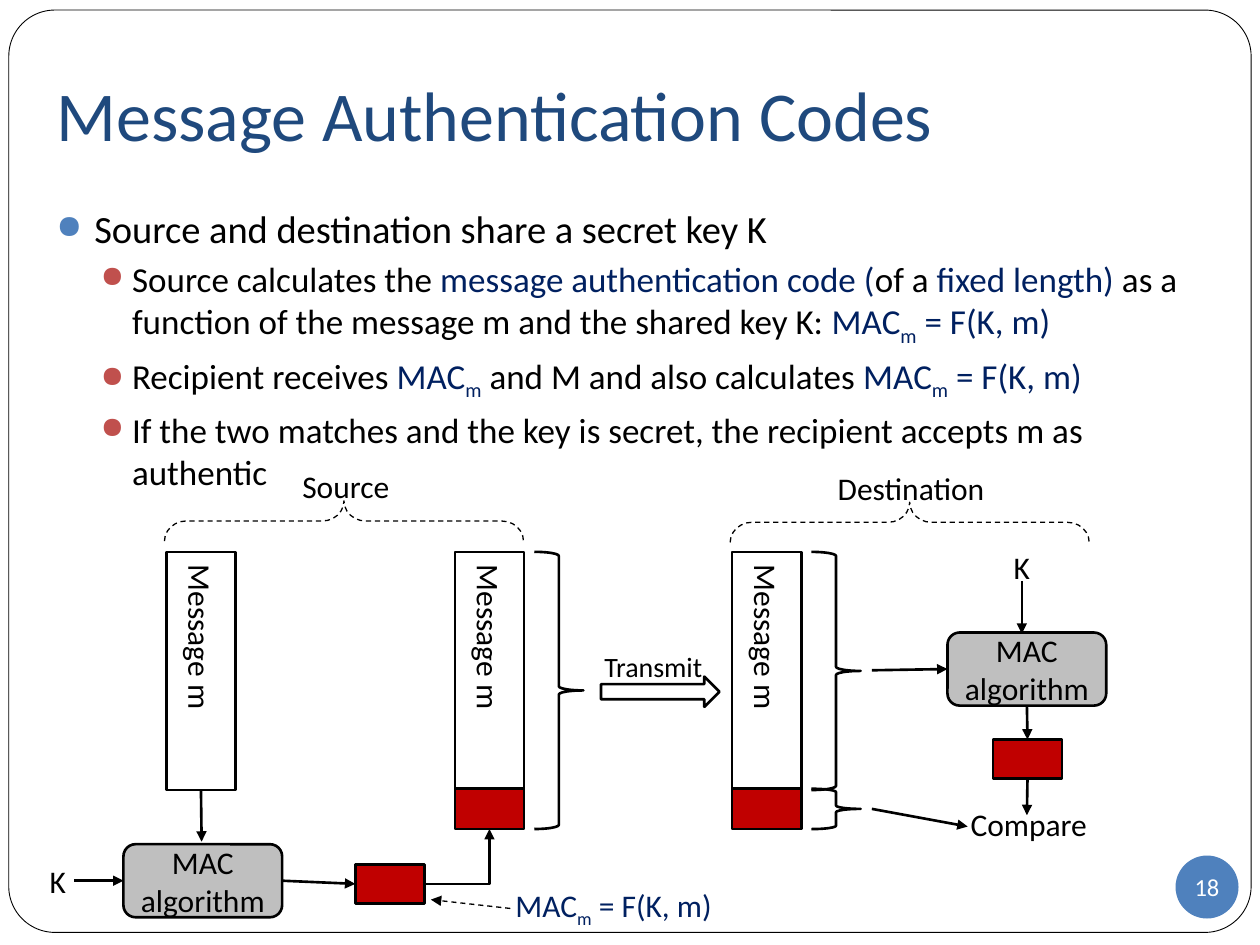
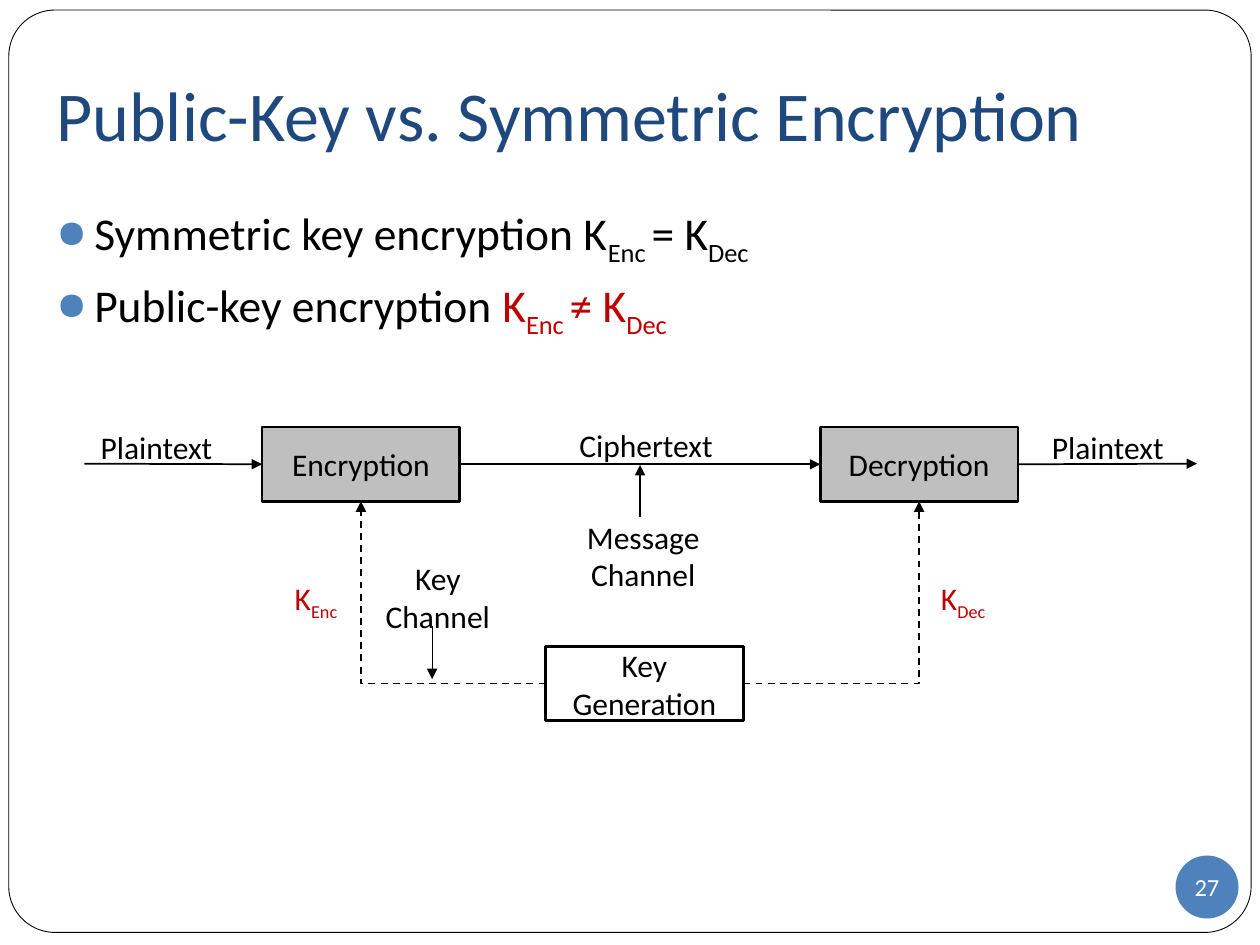
from dataclasses import dataclass
from typing import NamedTuple, Optional

from lxml.etree import SubElement
from pptx import Presentation
from pptx.dml.color import RGBColor
from pptx.enum.dml import MSO_LINE
from pptx.enum.shapes import MSO_CONNECTOR as Connector
from pptx.enum.shapes import MSO_SHAPE as Preset
from pptx.enum.text import MSO_ANCHOR as Anchor
from pptx.enum.text import PP_ALIGN as Align
from pptx.oxml.ns import qn
from pptx.util import Inches, Pt


@dataclass(frozen=True)
class Theme:
    font: str = "Calibri"
    ink: str = "000000"
    paper: str = "FFFFFF"
    title: str = "1F497D"
    term: str = "002060"
    accent: str = "4F81BD"
    second: str = "C0504D"
    red: str = "C00000"
    gray: str = "BFBFBF"
    title_size: int = 40
    label_size: int = 18
    small_size: int = 16
    number_size: int = 14
    hairline: float = 0.5
    thin: float = 0.75
    medium: float = 1
    thick: float = 1.5


THEME = Theme()
TOP, LEFT, BOTTOM, RIGHT = range(4)


class Box(NamedTuple):
    left: float
    top: float
    width: float
    height: float


class Span(NamedTuple):
    text: str
    color: str = THEME.ink
    sub: bool = False


class Bullet(NamedTuple):
    spans: list
    size: int
    level: int = 0


class BulletStyle(NamedTuple):
    margin: float
    hanging: float
    before: float
    color: str


BULLET_STYLES = (BulletStyle(0.3, 0.3, 5.8, THEME.accent),
                 BulletStyle(0.6, 0.25, 3.7, THEME.second))


class Label(NamedTuple):
    box: Box
    lines: list
    size: int = THEME.label_size
    align: Align = Align.CENTER
    wrap: bool = True
    side: float = 0.1


class Arrow(NamedTuple):
    start: tuple
    end: tuple
    width: float = THEME.thick
    dashed: bool = False
    bent: bool = False
    begin: Optional[tuple] = None   # (shape, side) joined at the start
    finish: Optional[tuple] = None  # (shape, side) joined at the end


def lengths(*values: float) -> tuple:
    return tuple(Inches(value) for value in values)


def apply(target, values: dict) -> None:
    for name, value in values.items():
        setattr(target, name, value)


def set_frame(frame, anchor=Anchor.TOP, wrap=True, margins=(0.1, 0.05, 0.1, 0.05)) -> None:
    left, top, right, bottom = lengths(*margins)
    apply(frame, {"vertical_anchor": anchor, "word_wrap": wrap, "margin_left": left,
                  "margin_top": top, "margin_right": right, "margin_bottom": bottom})


def write(paragraph, spans: list, size: float, align=Align.LEFT) -> None:
    paragraph.alignment = align
    for span in spans:
        run = paragraph.add_run()
        run.text = span.text
        apply(run.font, {"name": THEME.font, "size": Pt(size)})
        run.font.color.rgb = RGBColor.from_string(span.color)
        if span.sub:
            run._r.get_or_add_rPr().set("baseline", "-25000")


def set_line(line, width: float, dashed: bool = False) -> None:
    line.color.rgb = RGBColor.from_string(THEME.ink)
    line.width = Pt(width)
    if dashed:
        line.dash_style = MSO_LINE.DASH


def add_shape(slide, preset: Preset, box: Box, fill: Optional[str] = None,
              width: float = THEME.thick, dashed: bool = False):
    shape = slide.shapes.add_shape(preset, *lengths(*box))
    shape.shadow.inherit = False
    if fill:
        shape.fill.solid()
        shape.fill.fore_color.rgb = RGBColor.from_string(fill)
    else:
        shape.fill.background()
    if width:
        set_line(shape.line, width, dashed)
    else:
        shape.line.fill.background()
    return shape


def add_node(slide, preset: Preset, box: Box, text: str, fill: Optional[str] = None):
    shape = add_shape(slide, preset, box, fill)
    set_frame(shape.text_frame, Anchor.MIDDLE)
    write(shape.text_frame.paragraphs[0], [Span(text)], THEME.label_size, Align.CENTER)
    return shape


def add_label(slide, label: Label) -> None:
    frame = slide.shapes.add_textbox(*lengths(*label.box)).text_frame
    set_frame(frame, wrap=label.wrap, margins=(label.side, 0.05, label.side, 0.05))
    for index, spans in enumerate(label.lines):
        paragraph = frame.add_paragraph() if index else frame.paragraphs[0]
        write(paragraph, spans, label.size, label.align)


def add_arrow(slide, arrow: Arrow) -> None:
    kind = Connector.ELBOW if arrow.bent else Connector.STRAIGHT
    connector = slide.shapes.add_connector(kind, *lengths(*arrow.start, *arrow.end))
    if arrow.begin:
        connector.begin_connect(*arrow.begin)
    if arrow.finish:
        connector.end_connect(*arrow.finish)
    set_line(connector.line, arrow.width, arrow.dashed)
    properties = connector.element.spPr
    if arrow.bent:  # one corner only
        properties.find(qn("a:prstGeom")).set("prst", "bentConnector2")
    SubElement(properties.find(qn("a:ln")), qn("a:tailEnd"), type="triangle")
    SubElement(properties, qn("a:effectLst"))


def add_bullets(slide, bullets: list) -> None:
    frame = slide.shapes.add_textbox(*lengths(0.35, 1.58, 9.37, 5.63)).text_frame
    set_frame(frame)
    for index, bullet in enumerate(bullets):
        paragraph = frame.add_paragraph() if index else frame.paragraphs[0]
        style = BULLET_STYLES[bullet.level]
        properties = paragraph._p.get_or_add_pPr()
        properties.set("marL", str(Inches(style.margin)))
        properties.set("indent", str(-Inches(style.hanging)))
        SubElement(SubElement(properties, qn("a:buClr")), qn("a:srgbClr"), val=style.color)
        SubElement(properties, qn("a:buSzPct"), val="85000")
        SubElement(properties, qn("a:buChar"), char="●")
        apply(paragraph, {"level": bullet.level, "space_before": Pt(style.before if index else 0)})
        write(paragraph, bullet.spans, bullet.size)


def add_base(presentation, title: str, number: int, bullets: list):
    """Blank slide with border, title, bullets and number badge."""
    slide = presentation.slides.add_slide(presentation.slide_layouts[6])
    border = add_shape(slide, Preset.ROUNDED_RECTANGLE, Box(0.07, 0.08, 9.86, 7.32),
                       THEME.paper, THEME.hairline)
    border.adjustments[0] = 0.05
    frame = slide.shapes.add_textbox(*lengths(0.35, 0.3, 9.37, 1.25)).text_frame
    set_frame(frame, Anchor.MIDDLE, margins=(0.1, 0.05, 0.1, 0.1))
    write(frame.paragraphs[0], [Span(title, THEME.title)], THEME.title_size)
    add_bullets(slide, bullets)
    badge = add_shape(slide, Preset.OVAL, Box(9.33, 6.79, 0.5, 0.5), THEME.accent, 0)
    set_frame(badge.text_frame, Anchor.MIDDLE, False, (0, 0, 0, 0))
    write(badge.text_frame.paragraphs[0], [Span(str(number), THEME.paper)],
          THEME.number_size, Align.CENTER)
    return slide


def key(name: str, color: str = THEME.ink) -> list:
    return [Span("K", color), Span(name, color, True)]


def build_mac_slide(presentation) -> None:
    mac = [Span("MAC", THEME.term), Span("m", THEME.term, True)]
    formula = mac + [Span(" = F(K, m)", THEME.term)]
    slide = add_base(presentation, "Message Authentication Codes", 18, [
        Bullet([Span("Source and destination share a secret key K")], 22),
        Bullet([Span("Source calculates the "),
                Span("message authentication code (", THEME.term), Span("of a"),
                Span(" fixed length) ", THEME.term),
                Span("as a function of the message m and the shared key K: "),
                *formula], 20, 1),
        Bullet([Span("Recipient receives "), *mac, Span(" and M and also calculates "),
                *formula], 20, 1),
        Bullet([Span("If the two matches and the key is secret, "
                     "the recipient accepts m as authentic")], 20, 1)])

    # Messages, the last two with a code attached
    messages = []
    for left in (1.32, 3.61, 5.81):
        message = add_node(slide, Preset.RECTANGLE, Box(left, 4.38, 0.55, 1.89), "Message m")
        set_frame(message.text_frame, Anchor.MIDDLE, margins=(0.05, 0.1, 0.05, 0.1))
        message.text_frame._txBody.bodyPr.set("vert", "eaVert")
        messages.append(message)
    code_boxes = [Box(2.82, 6.86, 0.55, 0.31), Box(7.88, 5.87, 0.55, 0.31),
                  Box(3.61, 6.26, 0.55, 0.32), Box(5.81, 6.26, 0.55, 0.32)]
    source_code, target_code, sent_code, _ = [
        add_shape(slide, Preset.RECTANGLE, box, THEME.red) for box in code_boxes]
    source_mac, target_mac = [
        add_node(slide, Preset.ROUNDED_RECTANGLE, Box(left, top, 1.26, 0.58),
                 "MAC algorithm", THEME.gray) for left, top in ((0.98, 6.7), (7.52, 5.02))]

    # Braces and transmission
    for left, top in ((2.57, 2.71), (7.06, 2.72)):
        brace = add_shape(slide, Preset.RIGHT_BRACE, Box(left, top, 0.32, 2.85),
                          width=THEME.thin, dashed=True)
        brace.rotation = 270
        brace.adjustments[0] = 0.54
    for box in (Box(4.24, 4.38, 0.39, 2.2), Box(6.44, 4.38, 0.39, 1.89),
                Box(6.44, 6.26, 0.39, 0.32)):
        add_shape(slide, Preset.RIGHT_BRACE, box)
    add_shape(slide, Preset.RIGHT_ARROW, Box(4.77, 5.37, 0.94, 0.24))

    for label in (Label(Box(1.93, 3.66, 1.63, 0.4), [[Span("Source")]]),
                  Label(Box(6.42, 3.67, 1.62, 0.4), [[Span("Destination")]]),
                  Label(Box(4.37, 5.11, 1.63, 0.37), [[Span("Transmit")]], THEME.small_size),
                  Label(Box(7.88, 4.3, 0.46, 0.4), [[Span("K")]]),
                  Label(Box(0.23, 6.79, 0.46, 0.4), [[Span("K")]]),
                  Label(Box(7.63, 6.34, 1.07, 0.4), [[Span("Compare")]], side=0),
                  Label(Box(3.89, 6.98, 1.96, 0.44), [formula])):
        add_label(slide, label)

    for arrow in (
            Arrow((1.6, 6.26), (1.6, 6.68), begin=(messages[0], BOTTOM)),
            Arrow((0.59, 6.99), (0.98, 6.99), finish=(source_mac, LEFT)),
            Arrow((2.24, 7), (2.83, 7), begin=(source_mac, RIGHT), finish=(source_code, LEFT)),
            Arrow((3.37, 7.02), (3.88, 6.58), bent=True,
                  begin=(source_code, RIGHT), finish=(sent_code, BOTTOM)),
            Arrow((4.05, 7.21), (3.42, 7.14), THEME.thin, True),
            Arrow((8.11, 4.61), (8.11, 5.03)),
            Arrow((6.92, 5.32), (7.5, 5.32), finish=(target_mac, LEFT)),
            Arrow((8.14, 5.6), (8.14, 5.87), begin=(target_mac, BOTTOM),
                  finish=(target_code, TOP)),
            Arrow((8.15, 6.2), (8.15, 6.47), begin=(target_code, BOTTOM)),
            Arrow((6.92, 6.42), (7.68, 6.56))):
        add_arrow(slide, arrow)


def build_encryption_slide(presentation) -> None:
    slide = add_base(presentation, "Public-Key vs. Symmetric Encryption", 27, [
        Bullet([Span("Symmetric key encryption "), *key("Enc "), Span("= "), *key("Dec")], 26),
        Bullet([Span("Public-key encryption "), *key("Enc ", THEME.red),
                Span("≠ ", THEME.red), *key("Dec", THEME.red)], 26)])

    encryption, decryption, generation = [
        add_node(slide, Preset.RECTANGLE, Box(left, top, 1.57, 0.59), text, fill)
        for left, top, text, fill in ((2.08, 3.39, "Encryption", THEME.gray),
                                      (6.51, 3.39, "Decryption", THEME.gray),
                                      (4.33, 5.13, "Key Generation", None))]

    # Message path, key path and pointers
    for arrow in (
            Arrow((0.67, 3.68), (2.08, 3.68), THEME.medium, finish=(encryption, LEFT)),
            Arrow((3.65, 3.68), (6.51, 3.68), THEME.medium,
                  begin=(encryption, RIGHT), finish=(decryption, LEFT)),
            Arrow((8.08, 3.68), (9.5, 3.68), THEME.medium, begin=(decryption, RIGHT)),
            Arrow((5.9, 5.42), (7.3, 3.98), THEME.medium, True, True,
                  (generation, RIGHT), (decryption, BOTTOM)),
            Arrow((4.33, 5.42), (2.87, 3.98), THEME.medium, True, True,
                  (generation, LEFT), (encryption, BOTTOM)),
            Arrow((5.08, 4.1), (5.08, 3.69), THEME.thin),
            Arrow((3.43, 4.97), (3.43, 5.39), THEME.thin)):
        add_arrow(slide, arrow)

    for left, top, width, text in ((0.7, 3.35, 1.09, "Plaintext"), (4.5, 3.33, 1.26, "Ciphertext"),
                                   (8.25, 3.35, 1.09, "Plaintext")):
        add_label(slide, Label(Box(left, top, width, 0.4), [[Span(text)]],
                               align=Align.LEFT, wrap=False))
    for left, width, name in ((2.24, 0.71, "Enc"), (7.37, 0.86, "Dec")):
        add_label(slide, Label(Box(left, 4.55, width, 0.44), [key(name, THEME.red)],
                               align=Align.LEFT))
    for left, top, width, text in ((4.56, 4.06, 1.09, "Message"), (2.96, 4.39, 1.03, "Key")):
        add_label(slide, Label(Box(left, top, width, 0.7), [[Span(text)], [Span("Channel")]],
                               wrap=False))


def main() -> None:
    presentation = Presentation()
    apply(presentation, {"slide_width": Inches(10), "slide_height": Inches(7.5)})
    build_mac_slide(presentation)
    build_encryption_slide(presentation)
    presentation.save("out.pptx")


if __name__ == "__main__":
    main()
